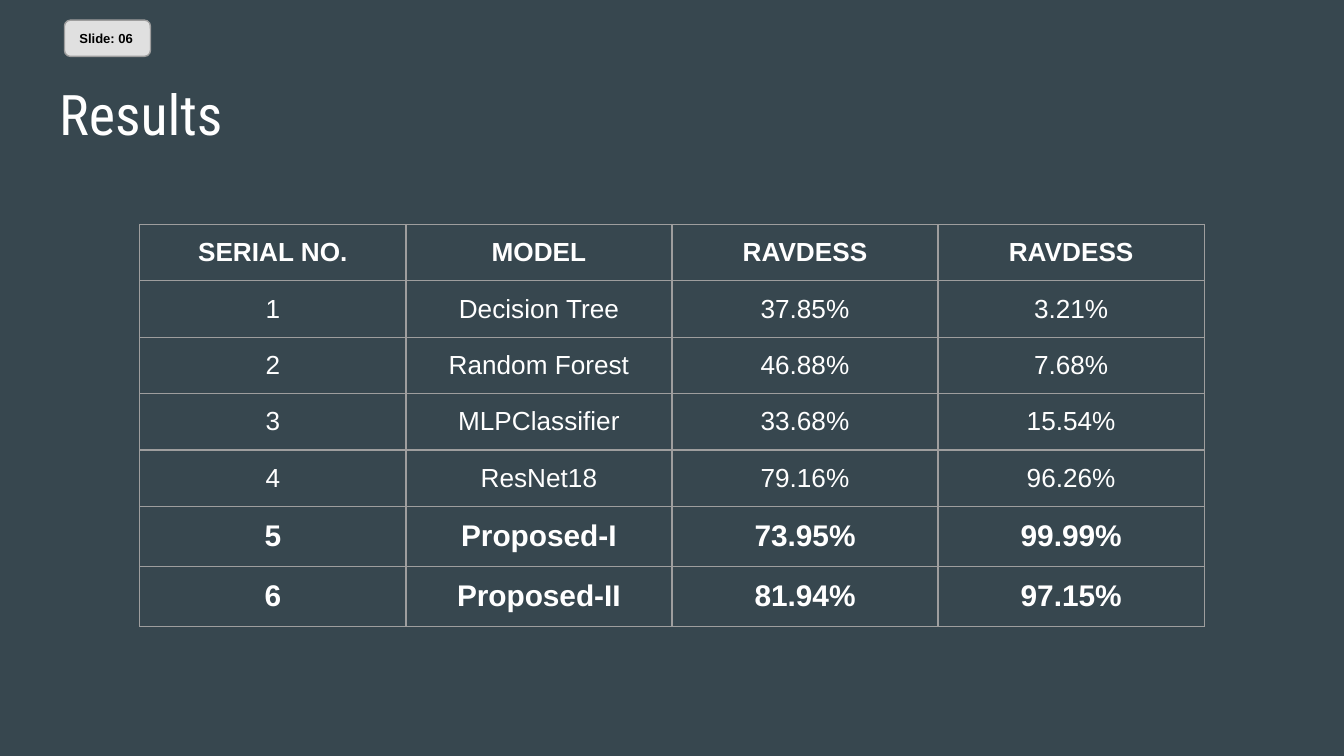
import pptx
import pptx.dml.color
import pptx.enum.shapes
import pptx.enum.text
import pptx.oxml
import pptx.oxml.ns
import pptx.util

Inches = pptx.util.Inches
Pt = pptx.util.Pt
ALIGN = pptx.enum.text.PP_ALIGN
ANCHOR = pptx.enum.text.MSO_ANCHOR

WIDTH = 10
HEIGHT = WIDTH * 9 / 16
BACKGROUND, WHITE, BLACK = "37474F", "FFFFFF", "000000"
BORDER, BADGE_FILL = "9E9E9E", "E0E0E0"
INSET = Inches(0.1)
COLUMN_WIDTH, ROW_HEIGHT = 1.98, 0.42
BODY_SIZE, PROPOSED_SIZE = 14, 16

RESULTS = [
    ("SERIAL NO.", "MODEL", "RAVDESS", "RAVDESS"),
    ("1", "Decision Tree", "37.85%", "3.21%"),
    ("2", "Random Forest", "46.88%", "7.68%"),
    ("3", "MLPClassifier", "33.68%", "15.54%"),
    ("4", "ResNet18", "79.16%", "96.26%"),
    ("5", "Proposed-I", "73.95%", "99.99%"),
    ("6", "Proposed-II", "81.94%", "97.15%"),
]


def color(value):
    return pptx.dml.color.RGBColor.from_string(value)


def set_text(text_frame, text, size, font_color, font="Arial", bold=False, align=ALIGN.LEFT):
    text_frame.text = text
    paragraph = text_frame.paragraphs[0]
    paragraph.alignment = align
    run_font = paragraph.runs[0].font
    run_font.name = font
    run_font.size = Pt(size)
    run_font.bold = bold
    run_font.color.rgb = color(font_color)


def set_insets(target):
    """Give a cell or text frame the same margin on all sides."""
    target.margin_left = target.margin_right = INSET
    target.margin_top = target.margin_bottom = INSET


def set_borders(cell):
    properties = cell._tc.get_or_add_tcPr()
    namespace = pptx.oxml.ns.nsdecls("a")
    for position, side in enumerate(("lnL", "lnR", "lnT", "lnB")):
        properties.insert(position, pptx.oxml.parse_xml(
            f'<a:{side} {namespace} w="{Pt(0.75)}"><a:solidFill>'
            f'<a:srgbClr val="{BORDER}"/></a:solidFill></a:{side}>'))


def add_title(slide, text):
    title = slide.shapes.title
    title.left, title.top = Inches(0.34), Inches(0.49)
    title.width, title.height = Inches(9.32), Inches(0.63)
    text_frame = title.text_frame
    text_frame.auto_size = pptx.enum.text.MSO_AUTO_SIZE.NONE
    text_frame.vertical_anchor = ANCHOR.TOP
    set_insets(text_frame)
    set_text(text_frame, text, 30, WHITE, font="Roboto Condensed")


def add_results_table(slide, rows):
    row_count, column_count = len(rows), len(rows[0])
    table_width = column_count * COLUMN_WIDTH
    table = slide.shapes.add_table(
        row_count, column_count, Inches((WIDTH - table_width) / 2), Inches(1.67),
        Inches(table_width), Inches(row_count * ROW_HEIGHT)).table
    table.first_row = table.horz_banding = False
    for row_index, values in enumerate(rows):
        proposed = values[1].startswith("Proposed")
        size = PROPOSED_SIZE if proposed else BODY_SIZE
        for column_index, value in enumerate(values):
            cell = table.cell(row_index, column_index)
            set_text(cell.text_frame, value, size, WHITE,
                     bold=proposed or row_index == 0, align=ALIGN.CENTER)
            set_insets(cell)
            cell.fill.background()
            set_borders(cell)


def add_badge(slide, text):
    badge = slide.shapes.add_shape(
        pptx.enum.shapes.MSO_SHAPE.ROUNDED_RECTANGLE,
        Inches(0.48), Inches(0.15), Inches(0.64), Inches(0.27))
    badge.shadow.inherit = False
    badge.fill.solid()
    badge.fill.fore_color.rgb = color(BADGE_FILL)
    badge.line.color.rgb = color(BORDER)
    badge.line.width = Pt(0.75)
    text_frame = badge.text_frame
    text_frame.vertical_anchor = ANCHOR.MIDDLE
    set_insets(text_frame)
    set_text(text_frame, text, 7, BLACK, bold=True)


def main():
    presentation = pptx.Presentation()
    presentation.slide_width = Inches(WIDTH)
    presentation.slide_height = Inches(HEIGHT)
    slide = presentation.slides.add_slide(presentation.slide_layouts.get_by_name("Title Only"))
    slide.background.fill.solid()
    slide.background.fill.fore_color.rgb = color(BACKGROUND)
    add_title(slide, "Results")
    add_results_table(slide, RESULTS)
    add_badge(slide, "Slide: 06")
    presentation.save("out.pptx")


if __name__ == "__main__":
    main()
